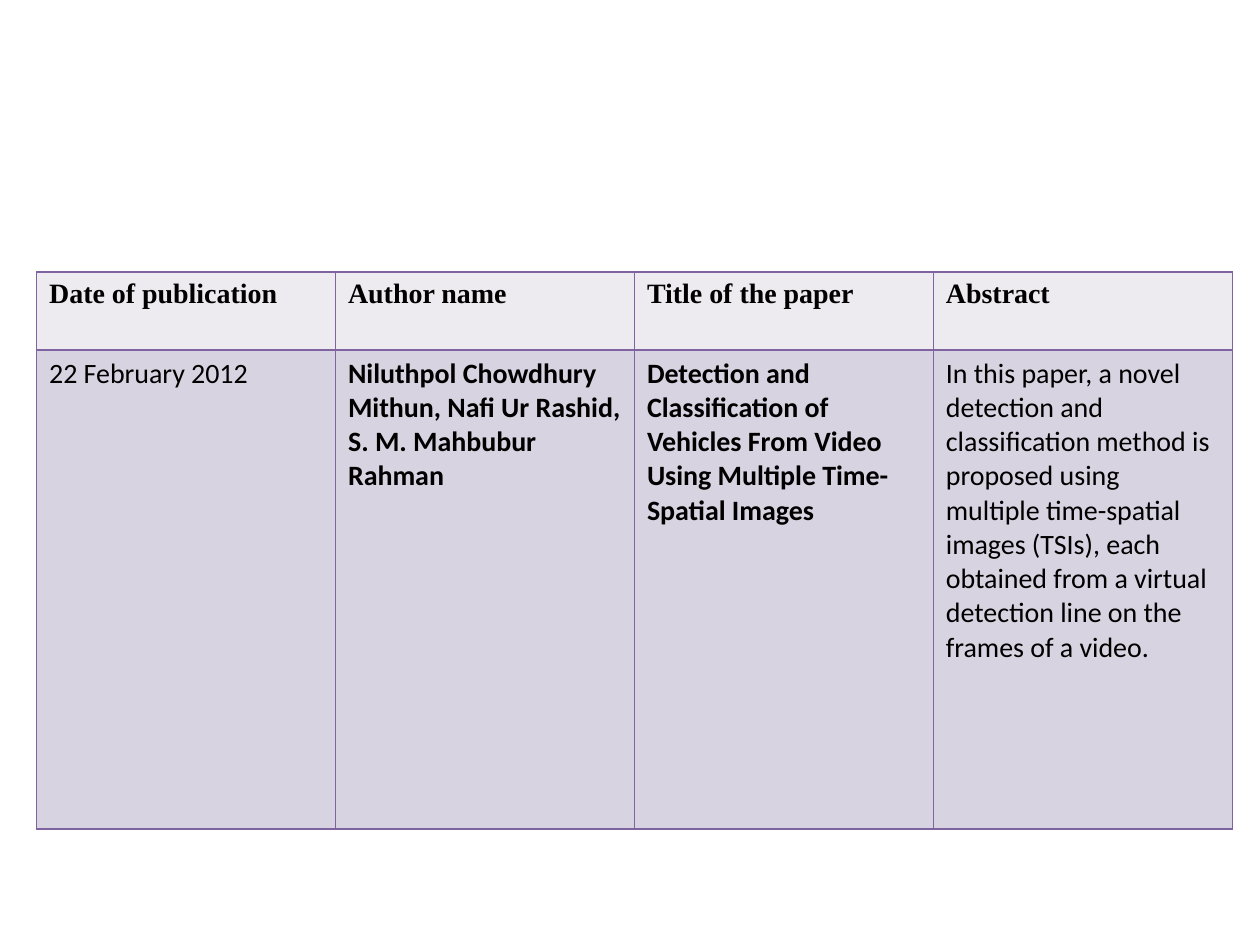
from dataclasses import dataclass

from lxml import etree
from pptx import Presentation
from pptx.dml.color import RGBColor
from pptx.oxml.ns import qn
from pptx.util import Inches, Pt


@dataclass(frozen=True)
class Theme:
    ink: str = "000000"
    edge: str = "8064A2"
    head: str = "EDEAF0"
    body: str = "D8D3E0"
    serif: str = "Times New Roman"
    sans: str = "Calibri"
    size: int = 16
    line: int = 1


THEME = Theme()
SIDES = ("a:lnL", "a:lnR", "a:lnT", "a:lnB")
HEADS = ("Date of publication", "Author name", "Title of the paper", "Abstract")
PAPER = (
    "22 February 2012",
    "Niluthpol Chowdhury Mithun, Nafi Ur Rashid, S. M. Mahbubur Rahman",
    "Detection and Classification of Vehicles From Video Using Multiple "
    "Time-Spatial Images",
    "In this paper, a novel detection and classification method is proposed "
    "using multiple time-spatial images (TSIs), each obtained from a virtual "
    "detection line on the frames of a video.",
)
BOLD = (False, True, True, False)


def write(frame, text, font=THEME.sans, size=THEME.size, color=THEME.ink, bold=False):
    run = frame.paragraphs[0].add_run()
    run.text = text
    run.font.name = font
    run.font.size = Pt(size)
    run.font.bold = bold
    run.font.color.rgb = RGBColor.from_string(color)


def paint(cell, color):
    props = cell._tc.get_or_add_tcPr()
    for side in SIDES:
        line = etree.SubElement(props, qn(side), w=str(Pt(THEME.line)))
        fill = etree.SubElement(line, qn("a:solidFill"))
        etree.SubElement(fill, qn("a:srgbClr"), val=THEME.edge)
    cell.fill.solid()
    cell.fill.fore_color.rgb = RGBColor.from_string(color)


def add_grid(slide, left, top, width, height, head):
    grid = slide.shapes.add_table(2, len(HEADS), left, top, width, height).table
    grid.rows[0].height = head
    grid.rows[1].height = height - head
    for col, (title, text, bold) in enumerate(zip(HEADS, PAPER, BOLD)):
        grid.columns[col].width = width // len(HEADS)
        upper, lower = grid.cell(0, col), grid.cell(1, col)
        paint(upper, THEME.head)
        paint(lower, THEME.body)
        write(upper.text_frame, title, font=THEME.serif, bold=True)
        write(lower.text_frame, text, bold=bold)


def main():
    deck = Presentation()
    deck.slide_width = Inches(10)
    deck.slide_height = Inches(7.5)
    slide = deck.slides.add_slide(deck.slide_layouts[6])
    add_grid(slide, Inches(0.29), Inches(2.16), Inches(9.49), Inches(4.42),
             head=Inches(0.62))
    deck.save("out.pptx")


if __name__ == "__main__":
    main()
